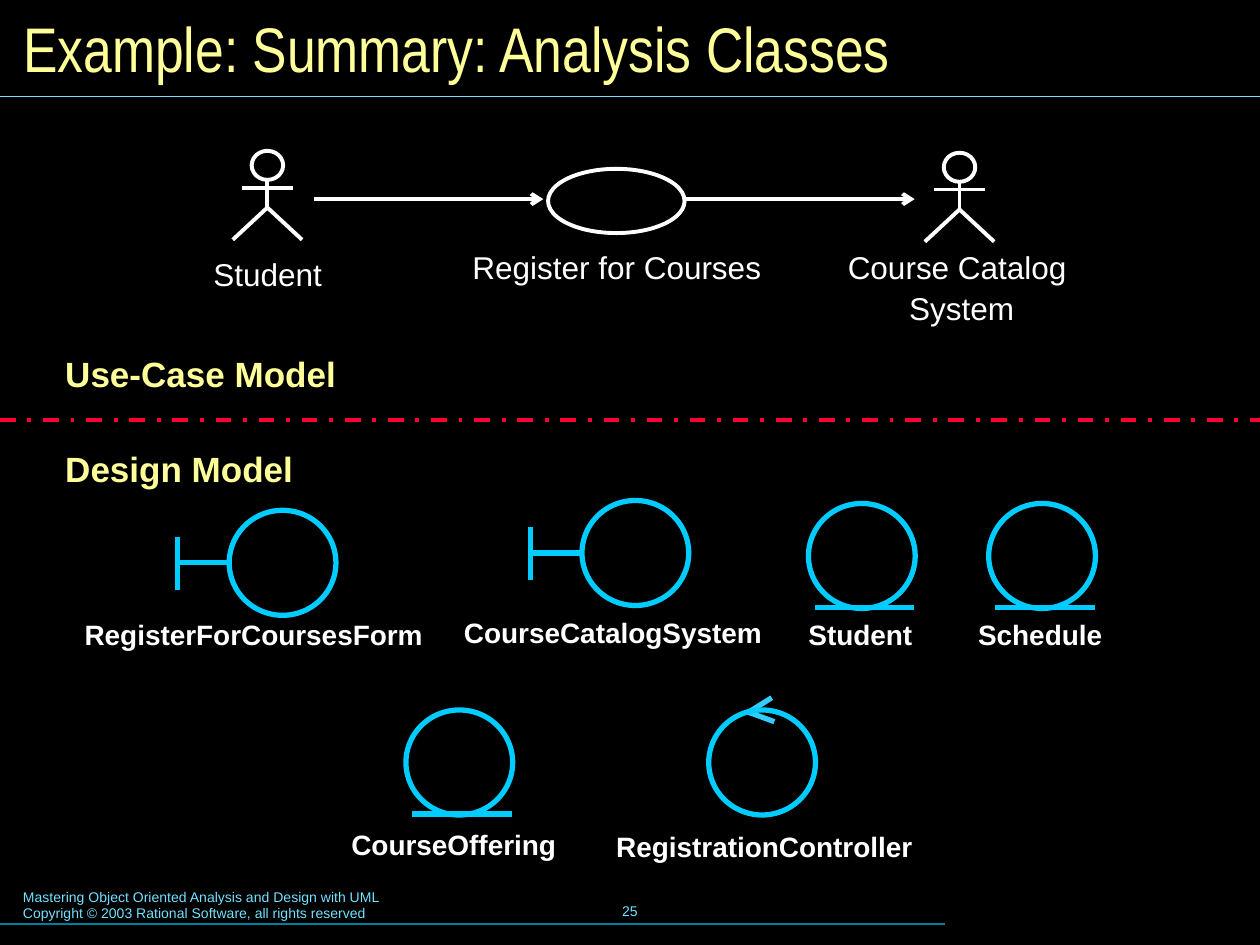
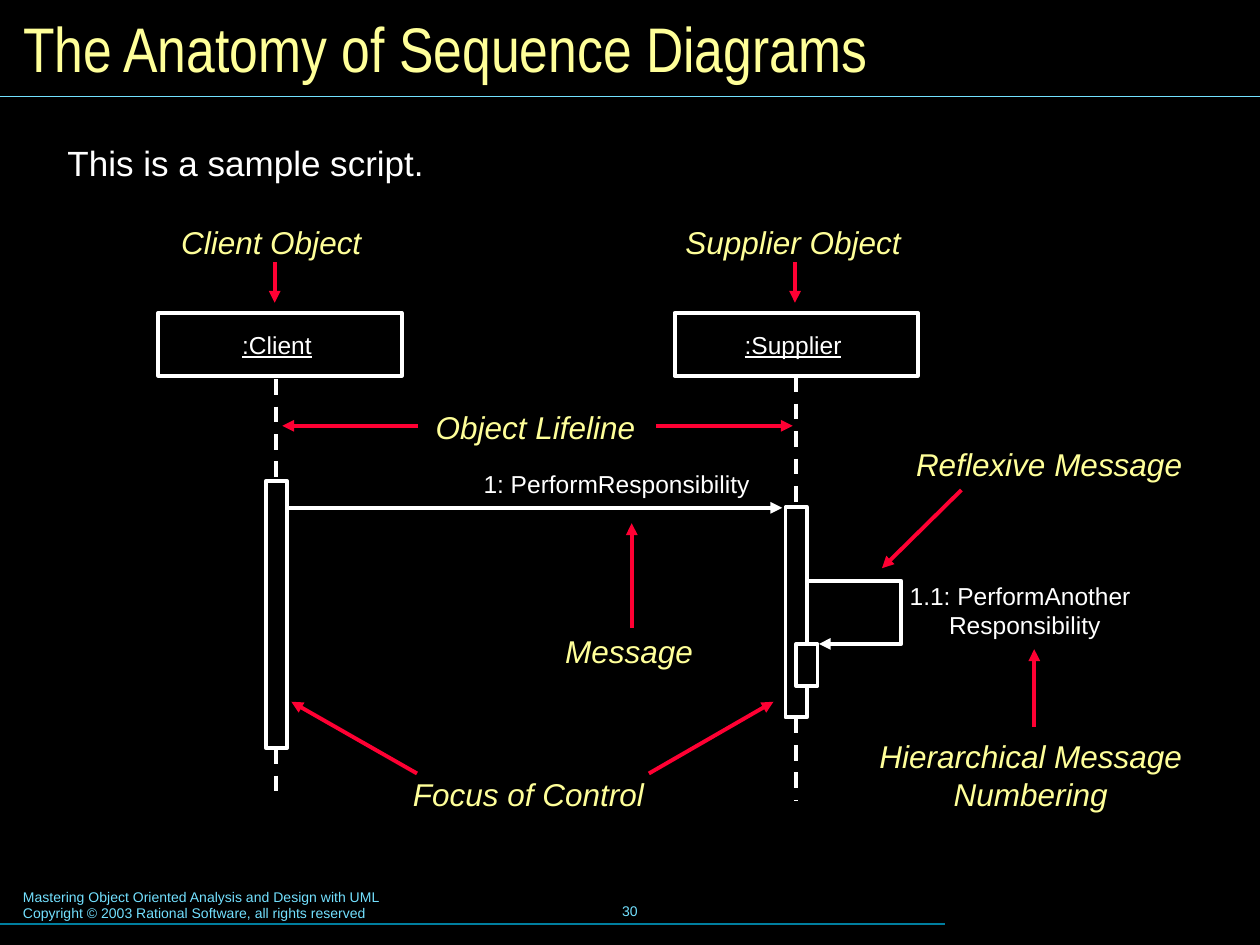
from pptx import Presentation
from pptx.dml.color import RGBColor
from pptx.enum import dml, shapes, text
from pptx.util import Pt
from lxml import etree

BLACK = RGBColor(0x00, 0x00, 0x00)
WHITE = RGBColor(0xFF, 0xFF, 0xFF)
YELLOW = RGBColor(0xFF, 0xFF, 0x99)
RED = RGBColor(0xFF, 0x00, 0x33)
CYAN = RGBColor(0x00, 0xCC, 0xFF)
SKY = RGBColor(0x33, 0xCC, 0xFF)
PALE = RGBColor(0x73, 0xE1, 0xFF)
TEAL = RGBColor(0x00, 0x7E, 0x9F)

NS = "http://schemas.openxmlformats.org/drawingml/2006/main"
OVAL = shapes.MSO_SHAPE.OVAL
RECT = shapes.MSO_SHAPE.RECTANGLE
LEFT, MID = text.PP_ALIGN.LEFT, text.PP_ALIGN.CENTER
DASH = dml.MSO_LINE.DASH
WIDE, HIGH = 720, 540
FOOT = ["Mastering Object Oriented Analysis and Design with UML",
        "Copyright © 2003 Rational Software, all rights reserved"]


def pts(*nums):
    return [Pt(n) for n in nums]


def font(para, size, color, face="Arial", bold=False, italic=False):
    f = para.font
    f.name, f.size, f.bold, f.italic = face, Pt(size), bold, italic
    f.color.rgb = color


def pen(line, color, width, dash=None, tip=None):
    """Style a line; tip names the arrowhead at its end."""
    line.color.rgb, line.width = color, Pt(width)
    if dash:
        line.dash_style = dash
    if tip:
        ln = line._get_or_add_ln()
        etree.SubElement(ln, f"{{{NS}}}tailEnd", type=tip)


def line(slide, x1, y1, x2, y2, color=WHITE, width=2.25, dash=None, tip=None):
    rod = slide.shapes.add_connector(shapes.MSO_CONNECTOR.STRAIGHT,
                                     *pts(x1, y1, x2, y2))
    pen(rod.line, color, width, dash, tip)
    etree.SubElement(rod._element.spPr, f"{{{NS}}}effectLst")


def chain(slide, dots, tip=None):
    """Draw an open white outline through the dots."""
    dots = [pts(*dot) for dot in dots]
    form = slide.shapes.build_freeform(*dots[0], scale=1.0)
    form.add_line_segments(dots[1:], close=False)
    bent = form.convert_to_shape()
    bent.shadow.inherit = False
    bent.fill.background()
    pen(bent.line, WHITE, 2.25, tip=tip)


def shape(slide, kind, x, y, w, h, color=WHITE, width=2.25, fill=None):
    item = slide.shapes.add_shape(kind, *pts(x, y, w, h))
    item.shadow.inherit = False
    if fill is None:
        item.fill.background()
    else:
        item.fill.solid()
        item.fill.fore_color.rgb = fill
    pen(item.line, color, width)
    return item


def write(slide, rows, x, y, w, h, size, color, align=LEFT, pad=True,
          **style):
    """Add a text box with one paragraph per row; pad gives it margins."""
    frame = slide.shapes.add_textbox(*pts(x, y, w, h)).text_frame
    frame.word_wrap = True
    frame.margin_left = frame.margin_right = Pt(7.2 if pad else 0)
    frame.margin_top = frame.margin_bottom = Pt(3.6 if pad else 0)
    frame.text = "\n".join(rows)
    for para in frame.paragraphs:
        para.alignment = align
        font(para, size, color, **style)
    return frame


def base(deck, title, number):
    """Add a slide with its title, rules and footer."""
    slide = deck.slides.add_slide(deck.slide_layouts[5])
    head = slide.shapes.title
    head.left, head.top, head.width, head.height = pts(6, 6, 708, 42)
    frame = head.text_frame
    frame.text = title
    frame.auto_size = text.MSO_AUTO_SIZE.NONE
    frame.vertical_anchor = text.MSO_ANCHOR.MIDDLE
    frame.paragraphs[0].alignment = LEFT
    font(frame.paragraphs[0], 36, YELLOW, "Arial Narrow")
    line(slide, 0, 55, WIDE, 55, PALE, 0.75)
    line(slide, 0, 528, 540, 528, TEAL, 0.75)
    write(slide, FOOT, 6, 504, 367, 27, 8, PALE)
    page = write(slide, [str(number)], 246, 502.5, 228, 36, 8, PALE, MID)
    page.vertical_anchor = text.MSO_ANCHOR.MIDDLE
    return slide


def actor(slide, x, y):
    mid = x + 19.8
    shape(slide, OVAL, mid - 9, y, 18, 16.6)
    line(slide, mid, y + 16.6, mid, y + 32.4)
    line(slide, mid - 14.4, y + 21, mid + 14.4, y + 21)
    chain(slide, [(x, y + 50.8), (mid, y + 32.4), (x + 39.6, y + 50.8)])


def ring(slide, x, y):
    shape(slide, OVAL, x, y, 61, 60, CYAN, 3)


def bound(slide, x, y):
    """Draw a boundary class: a ring with a bar at its left."""
    ring(slide, x, y)
    line(slide, x - 29.5, y + 15, x - 29.5, y + 45.5, CYAN, 3)
    line(slide, x - 29.5, y + 30, x, y + 30, CYAN, 3)


def entity(slide, x, y):
    line(slide, x + 3.5, y + 59.5, x + 60.5, y + 59.5, CYAN, 3)
    ring(slide, x, y)


def control(slide, x, y):
    """Draw a control class: a ring with an arrowhead on top."""
    line(slide, x + 36, y - 7, x + 22.3, y + 1.6, SKY, 3)
    line(slide, x + 37.5, y + 6.7, x + 21.6, y + 0.9, SKY, 3)
    ring(slide, x, y)


def usecase(slide):
    actor(slide, 133, 86.2)
    actor(slide, 528.5, 87.3)
    shape(slide, OVAL, 313.2, 96.5, 78, 36.7)
    for x in (179.5, 391.7):
        line(slide, x, 113.8, x + 131, 113.8, tip="arrow")
    write(slide, ["Student"], 113, 142.2, 80, 29, 18, WHITE, MID)
    write(slide, ["Register for Courses"], 250, 138.2, 205, 29, 18, WHITE, MID)
    frame = write(slide, ["Course Catalog ", "System"],
                  476, 138.2, 147, 51, 18, WHITE, MID)
    last = frame.paragraphs[1]
    last.line_spacing, last.space_before = 0.5, Pt(11.2)


def design(slide):
    parts = [
        (bound, 131, 291.6, "RegisterForCoursesForm", 145, 352.8),
        (bound, 332.6, 286, "CourseCatalogSystem", 350.3, 351.7),
        (entity, 462, 287.7, "Student", 491.7, 352.8),
        (entity, 565, 287.7, "Schedule", 594.4, 352.8),
        (entity, 232, 405.7, "CourseOffering", 259.3, 473),
        (control, 405, 405.7, "RegistrationController", 436.8, 474),
    ]
    for draw, x, y, name, mid, top in parts:
        draw(slide, x, y)
        write(slide, [name], mid - 100, top, 200, 19.4, 16, WHITE, MID,
              pad=False, bold=True)


def classes(deck):
    slide = base(deck, "Example: Summary: Analysis Classes", 25)
    usecase(slide)
    for name, y in (("Use-Case Model", 198), ("Design Model", 252)):
        write(slide, [name], 30.2, y, 198, 31.7, 20, YELLOW, bold=True)
    line(slide, 0, 240, WIDE, 240, RED, dash=dml.MSO_LINE.DASH_DOT)
    design(slide)


def thing(slide, name, x, y):
    """Draw a named object box at the head of a lifeline."""
    box = shape(slide, RECT, x, y, 139, 36)
    frame = box.text_frame
    frame.margin_left, frame.margin_right = Pt(0), Pt(3.5)
    frame.vertical_anchor = text.MSO_ANCHOR.MIDDLE
    frame.text = name
    para = frame.paragraphs[0]
    para.alignment = MID
    font(para, 14, WHITE)
    para.font.underline = True


def life(slide, x, top, start, stop, end):
    """Draw a dashed lifeline with its focus bar from start to stop."""
    line(slide, x, top, x, start, dash=DASH)
    line(slide, x, stop, x, end, dash=DASH)
    shape(slide, RECT, x - 6.1, start, 12.2, stop - start)


def calls(slide):
    line(slide, 164.2, 290.2, 447, 290.2, tip="triangle")
    chain(slide, [(460.8, 332), (515, 332), (515, 368), (468, 368)],
          tip="triangle")
    notes = [("1: PerformResponsibility", 276.3, 267.8, 223, 17),
             ("1.1: PerformAnother\vResponsibility", 519.8, 332, 151, 34)]
    for note, *box in notes:
        frame = write(slide, [note], *box, 14, WHITE, pad=False)
        props = frame.paragraphs[0]._p.get_or_add_pPr()
        props.set("marL", str(Pt(22.5)))
        props.set("indent", str(-Pt(22.5)))


def hints(slide):
    """Add the yellow captions and the red arrows that go with them."""
    names = [
        (["Client Object"], 155, 127.4),
        (["Supplier Object"], 453.2, 127.4),
        (["Object Lifeline"], 306, 233.3),
        (["Reflexive Message"], 599.5, 254.2),
        (["Message"], 359.5, 361),
        (["Focus of Control"], 302, 442.8),
        (["Hierarchical Message", "Numbering"], 589, 421.2),
    ]
    for rows, mid, y in names:
        write(slide, rows, mid - 100, y, 200, 21.6 * len(rows), 18, YELLOW,
              MID, pad=False, italic=True)
    rods = [
        (157, 150, 157, 173), (454.3, 150, 454.3, 173),
        (239, 243.3, 161.3, 243.3), (375, 243.3, 453, 243.3),
        (549.4, 280, 504, 324.7), (361, 359, 361, 299),
        (238.3, 442, 166.5, 401), (370.8, 442, 442, 401),
        (591, 415.4, 591, 371),
    ]
    for rod in rods:
        line(slide, *rod, RED, tip="triangle")


def anatomy(deck):
    slide = base(deck, "The Anatomy of Sequence Diagrams", 30)
    write(slide, ["This is a sample script."], 31.5, 77.3, 230, 31.7, 20,
          WHITE)
    thing(slide, ":Client", 90.5, 178.8)
    thing(slide, ":Supplier", 385.5, 178.8)
    life(slide, 158, 216.7, 275, 427.5, 455)
    life(slide, 455, 215, 289.8, 410, 457.9)
    calls(slide)
    shape(slide, RECT, 455, 368, 12.2, 24, fill=BLACK)
    hints(slide)


def main():
    deck = Presentation()
    deck.slide_width, deck.slide_height = pts(WIDE, HIGH)
    back = deck.slide_master.background.fill
    back.solid()
    back.fore_color.rgb = BLACK
    classes(deck)
    anatomy(deck)
    deck.save("out.pptx")


if __name__ == "__main__":
    main()
